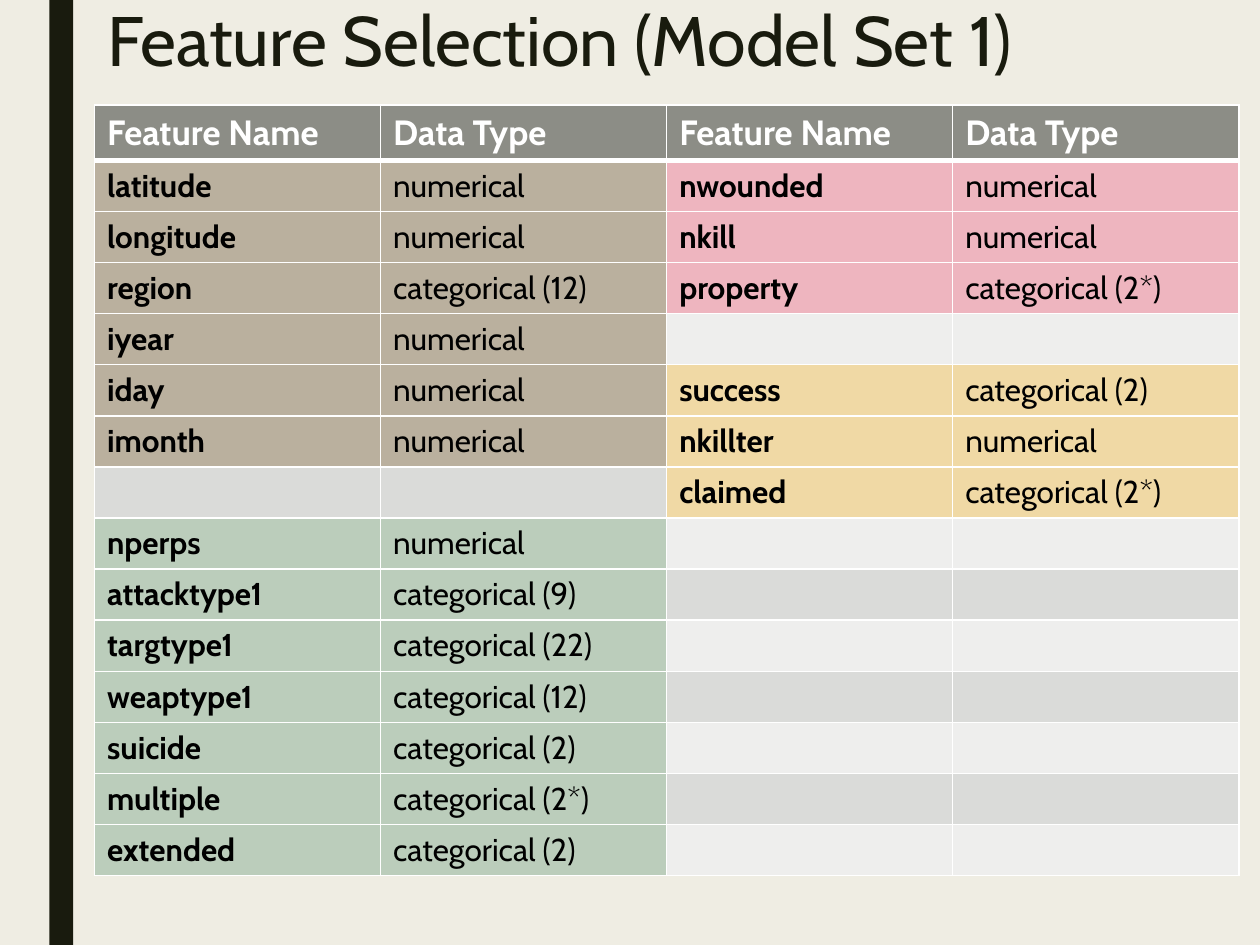
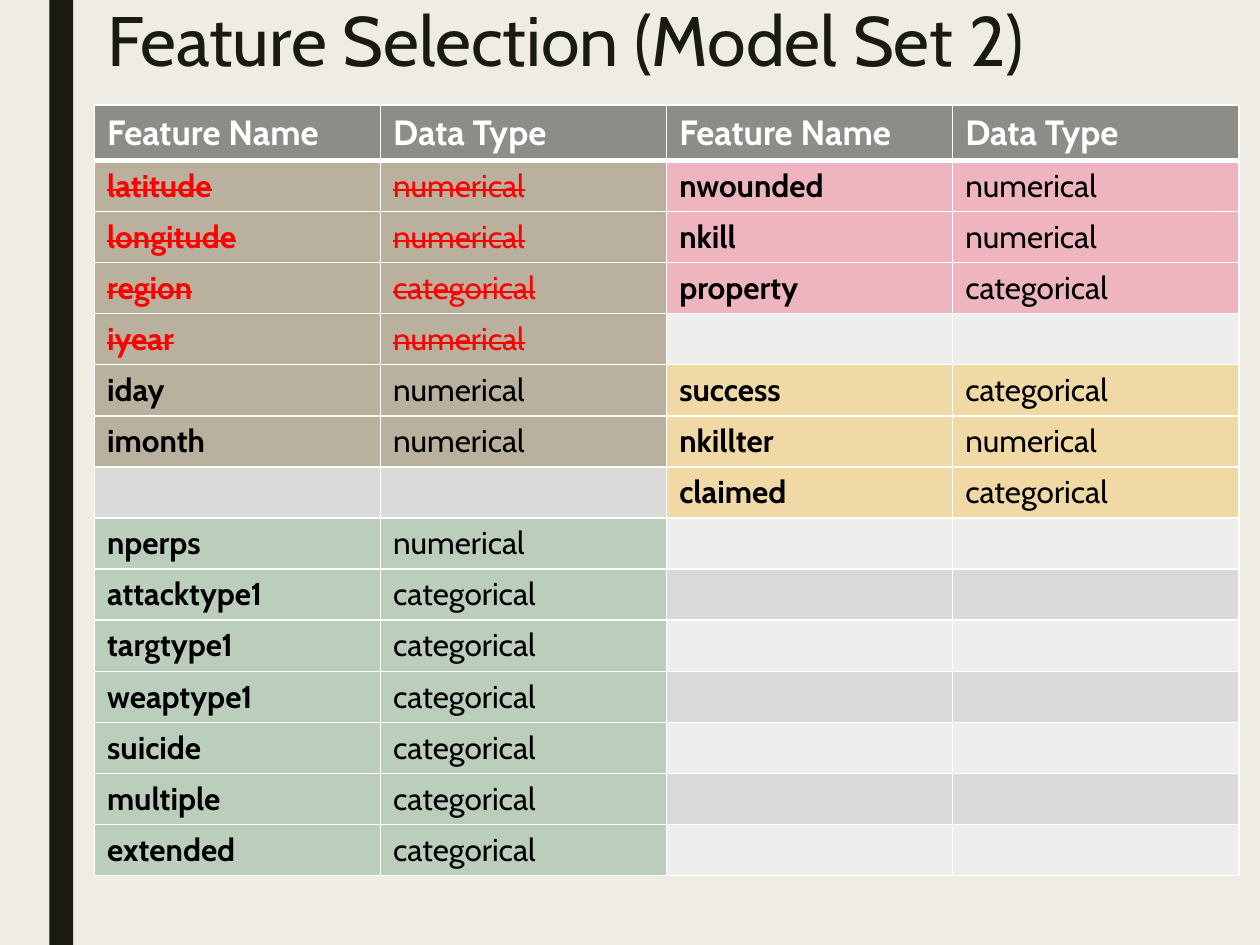
from lxml.etree import SubElement as Sub
from pptx import Presentation
from pptx.dml.color import RGBColor as Rgb
from pptx.enum.shapes import MSO_SHAPE as Shape
from pptx.enum.text import MSO_ANCHOR as Anchor, PP_ALIGN as Align
from pptx.oxml.ns import qn
from pptx.util import Pt

FONT = "Cabin"
COLORS = {
    "page": "EFEDE3", "dark": "191B0E", "head": "8C8D86", "white": "FFFFFF",
    "black": "000000", "red": "FF0000", "odd": "DADBD9", "even": "EEEEED",
    "tan": "BAB09E", "green": "BBCDBB", "pink": "EEB5BF", "gold": "F0D9A5",
}
HEADS = ["Feature Name", "Data Type"] * 2
ROWS, HEAD_H, ROW_H = 15, 31.5, 29.2
NUM, CAT = "numerical", "categorical"

# Each group: fill, first row, left column, features with their types
GROUPS = [
    ("tan", 1, 0, [("latitude", NUM), ("longitude", NUM),
                   ("region", f"{CAT} (12)"), ("iyear", NUM),
                   ("iday", NUM), ("imonth", NUM)]),
    ("green", 8, 0, [("nperps", NUM), ("attacktype1", f"{CAT} (9)"),
                     ("targtype1", f"{CAT} (22)"),
                     ("weaptype1", f"{CAT} (12)"), ("suicide", f"{CAT} (2)"),
                     ("multiple", f"{CAT} (2*)"), ("extended", f"{CAT} (2)")]),
    ("pink", 1, 2, [("nwounded", NUM), ("nkill", NUM),
                    ("property", f"{CAT} (2*)")]),
    ("gold", 5, 2, [("success", f"{CAT} (2)"), ("nkillter", NUM),
                    ("claimed", f"{CAT} (2*)")]),
]
DROPPED = {"latitude", "longitude", "region", "iyear"}


def color(name):
    return Rgb.from_string(COLORS[name])


class Deck:
    def __init__(self):
        self.prs = Presentation()
        self.prs.slide_width, self.prs.slide_height = Pt(720), Pt(540)
        fill = self.prs.slide_master.background.fill
        fill.solid()
        fill.fore_color.rgb = color("page")
        self.slide = None

    def start(self, title):
        self.slide = self.prs.slides.add_slide(self.prs.slide_layouts[5])
        self.band()
        self.title(title)

    def band(self):
        bar = self.slide.shapes.add_shape(
            Shape.RECTANGLE, Pt(28.2), 0, Pt(13.6), Pt(540))
        bar.shadow.inherit = False
        bar.fill.solid()
        bar.fill.fore_color.rgb = color("dark")
        bar.line.fill.background()

    def label(self, frame, text, size, ink, bold=False, strike=False):
        par = frame.paragraphs[0]
        run = par.add_run()
        run.text = text
        font = par.font
        font.name, font.size, font.bold = FONT, Pt(size), bold
        font.color.rgb = color(ink)
        if strike:
            run._r.get_or_add_rPr().set("strike", "sngStrike")
        return par

    def title(self, text):
        box = self.slide.shapes.title
        box.left, box.top, box.width, box.height = Pt(54), 0, Pt(594), Pt(60)
        box.text_frame.vertical_anchor = Anchor.TOP
        par = self.label(box.text_frame, text, 40, "dark")
        par.alignment, par.line_spacing = Align.LEFT, 0.89

    def border(self, cell, **widths):
        """Draw white cell edges; widths in points, keyed L, R, T, B."""
        props = cell._tc.get_or_add_tcPr()
        for side, width in widths.items():
            line = Sub(props, qn(f"a:ln{side}"), w=str(Pt(width)))
            fill = Sub(line, qn("a:solidFill"))
            Sub(fill, qn("a:srgbClr"), val=COLORS["white"])

    def paint(self, cell, name):
        cell.fill.solid()
        cell.fill.fore_color.rgb = color(name)

    def table(self, groups, dropped):
        grid = self.slide.shapes.add_table(
            ROWS, len(HEADS), Pt(54), Pt(60), Pt(654),
            Pt(HEAD_H + ROW_H * (ROWS - 1))).table
        for r, row in enumerate(grid.rows):
            row.height = Pt(ROW_H if r else HEAD_H)
            for cell in row.cells:
                self.border(cell, L=1, R=1, T=3 if r == 1 else 1,
                            B=1 if r else 3)
                self.paint(cell, ("even", "odd")[r % 2] if r else "head")
        for c, head in enumerate(HEADS):
            self.label(grid.cell(0, c).text_frame, head, 20, "white", True)
        for fill, top, left, items in groups:
            for r, item in enumerate(items, top):
                cut = item[0] in dropped
                for c, text in enumerate(item):
                    cell = grid.cell(r, left + c)
                    self.paint(cell, fill)
                    self.label(cell.text_frame, text, 18,
                               "red" if cut else "black", c == 0, cut)


def bare(groups):
    """Drop the category counts from the data types."""
    return [(fill, top, left, [(name, kind.split(" (")[0])
                               for name, kind in items])
            for fill, top, left, items in groups]


def main():
    deck = Deck()
    sets = [(GROUPS, set()), (bare(GROUPS), DROPPED)]
    for n, (groups, dropped) in enumerate(sets, 1):
        deck.start(f"Feature Selection (Model Set {n})")
        deck.table(groups, dropped)
    deck.prs.save("out.pptx")


if __name__ == "__main__":
    main()
